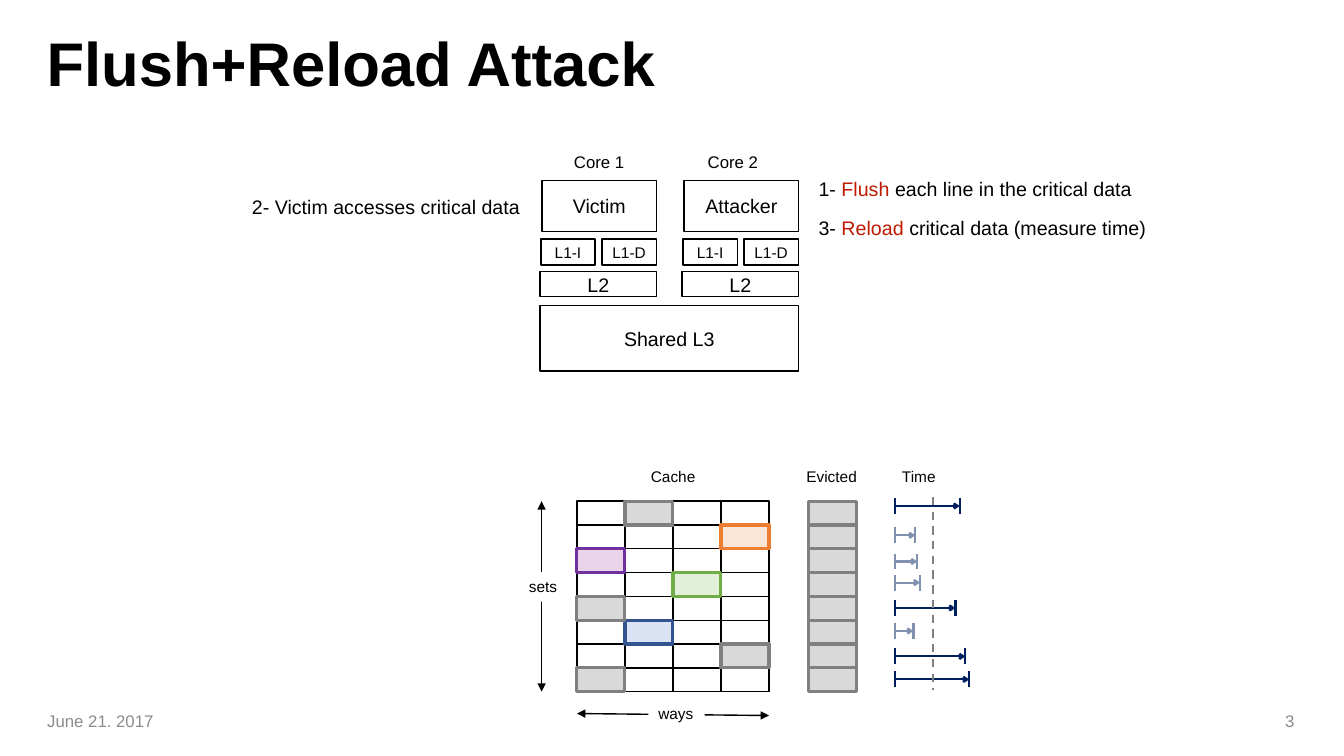
from lxml.etree import SubElement
from pptx import Presentation
from pptx.dml.color import RGBColor
from pptx.enum.dml import MSO_LINE_DASH_STYLE as Dash
from pptx.enum.shapes import MSO_CONNECTOR as Connector, MSO_SHAPE as Shape
from pptx.enum.text import MSO_ANCHOR as Anchor, MSO_AUTO_SIZE as AutoSize, PP_ALIGN as Align
from pptx.oxml.ns import qn
from pptx.util import Cm, Pt

BLACK = RGBColor(0x00, 0x00, 0x00)
WHITE = RGBColor(0xFF, 0xFF, 0xFF)
RED = RGBColor(0xBF, 0x19, 0x01)
GREY = RGBColor(0x80, 0x80, 0x80)
FOOTER_GREY = RGBColor(0x8C, 0x8C, 0x8C)
LIGHT_GREY = RGBColor(0xD9, 0xD9, 0xD9)
NAVY = RGBColor(0x00, 0x20, 0x60)
PALE_NAVY = RGBColor(0x80, 0x90, 0xAF)
PURPLE, LIGHT_PURPLE = RGBColor(0x70, 0x30, 0xA0), RGBColor(0xE9, 0xD4, 0xEA)
GREEN, LIGHT_GREEN = RGBColor(0x70, 0xAD, 0x47), RGBColor(0xE2, 0xF0, 0xD9)
BLUE, LIGHT_BLUE = RGBColor(0x32, 0x54, 0x91), RGBColor(0xDA, 0xE3, 0xF3)
ORANGE, LIGHT_ORANGE = RGBColor(0xED, 0x7D, 0x31), RGBColor(0xFB, 0xE5, 0xD6)

ROWS, COLUMNS = 8, 4
CELL_WIDTH, CELL_HEIGHT = 1.21, 0.6
HIGHLIGHTS = {
    (2, 0): (LIGHT_PURPLE, PURPLE), (3, 2): (LIGHT_GREEN, GREEN),
    (5, 1): (LIGHT_BLUE, BLUE), (1, 3): (LIGHT_ORANGE, ORANGE),
    (0, 1): (LIGHT_GREY, GREY), (4, 0): (LIGHT_GREY, GREY),
    (6, 3): (LIGHT_GREY, GREY), (7, 0): (LIGHT_GREY, GREY),
}
THRESHOLD = 0.95
TIMINGS = [(0.13, 1.63), (0.87, 0.51), (1.53, 0.56), (2.06, 0.63),
           (2.7, 1.52), (3.28, 0.46), (3.92, 1.77), (4.5, 1.87)]


def style_text(para, size, color=BLACK, align=Align.LEFT):
    """Set the font and alignment of a whole paragraph."""
    para.alignment = align
    para.font.name = "Arial"
    para.font.size = Pt(size)
    para.font.color.rgb = color


def add_box(page, left, top, width, height, text="", size=14,
            fill=None, outline=BLACK, weight=1):
    """Add an outlined rectangle with optional centred text."""
    box = page.shapes.add_shape(Shape.RECTANGLE, Cm(left), Cm(top), Cm(width), Cm(height))
    box.shadow.inherit = False
    if fill is None:
        box.fill.background()
    else:
        box.fill.solid()
        box.fill.fore_color.rgb = fill
    box.line.color.rgb = outline
    box.line.width = Pt(weight)
    if text:
        frame = box.text_frame
        frame.margin_left = frame.margin_right = 0
        frame.vertical_anchor = Anchor.MIDDLE
        frame.text = text
        style_text(frame.paragraphs[0], size, align=Align.CENTER)


def add_label(page, left, top, width, height, spans, size, color=BLACK,
              align=Align.LEFT, anchor=Anchor.TOP, wrap=False, fill=None):
    """Add a one-line text box made of (text, colour) spans."""
    label = page.shapes.add_textbox(Cm(left), Cm(top), Cm(width), Cm(height))
    if fill is not None:
        label.fill.solid()
        label.fill.fore_color.rgb = fill
    frame = label.text_frame
    frame.word_wrap = wrap
    frame.vertical_anchor = anchor
    para = frame.paragraphs[0]
    style_text(para, size, color, align)
    for text, span_color in spans:
        span = para.add_run()
        span.text = text
        if span_color is not None:
            span.font.color.rgb = span_color


def add_line(page, start, end, color=BLACK, weight=1.0, head=None, tail=None, dash=None):
    """Add a straight line with optional arrowheads and dashes."""
    line = page.shapes.add_connector(Connector.STRAIGHT, *map(Cm, (*start, *end)))
    line.line.color.rgb = color
    line.line.width = Pt(weight)
    if dash is not None:
        line.line.dash_style = dash
    outline = line.line._get_or_add_ln()
    for tag, kind in (("a:headEnd", head), ("a:tailEnd", tail)):
        if kind:
            arrow = SubElement(outline, qn(tag), type=kind)
            if kind == "arrow":
                arrow.set("w", "sm")
                arrow.set("len", "sm")
    SubElement(line._element.spPr, qn("a:effectLst"))


def add_title(page, text, left, top, width, height):
    """Fill and place the title placeholder."""
    title = page.shapes.title
    title.left, title.top, title.width, title.height = map(Cm, (left, top, width, height))
    frame = title.text_frame
    frame.text = text
    frame.auto_size = AutoSize.NONE
    frame.vertical_anchor = Anchor.MIDDLE
    para = frame.paragraphs[0]
    style_text(para, 44)
    para.font.bold = True
    para.line_spacing = 0.9


def add_core(page, left, top, process, name, name_shift):
    """Draw one core: its name, its process and its private caches."""
    add_label(page, left + name_shift, top - 0.84, 1.78, 0.76, [(name, None)], 12,
              align=Align.CENTER)
    add_box(page, left + 0.05, top, 2.89, 1.29, process, fill=WHITE)
    for shift, cache in ((0.02, "L1-I"), (1.56, "L1-D")):
        add_box(page, left + shift, top + 1.47, 1.37, 0.66, cache, 11, fill=WHITE)
    add_box(page, left, top + 2.3, 2.94, 0.63, "L2", fill=WHITE)


def add_processor(page, left, top):
    """Draw both cores above the shared cache."""
    add_core(page, left, top, "Victim", "Core 1", 0.6)
    add_core(page, left + 3.58, top, "Attacker", "Core 2", 0.39)
    add_box(page, left, top + 3.15, 6.52, 1.65, "Shared L3", fill=WHITE)


def add_steps(page, left, top):
    """Write the attack steps on both sides of the processor."""
    steps = [
        (14.28, 0, 8.89, [("1-", None), (" Flush ", RED), ("each line in the critical data", None)]),
        (0, 0.46, 7.42, [("2- Victim accesses critical data", None)]),
        (14.28, 0.98, 9.65, [("3-", None), (" Reload ", RED), ("critical data (measure time)", None)]),
    ]
    for shift, drop, width, spans in steps:
        add_label(page, left + shift, top + drop, width, 0.94, spans, 14,
                  anchor=Anchor.MIDDLE, wrap=True)


def add_cache(page, left, top):
    """Draw the cache grid, its highlighted lines and its dimensions."""
    right, bottom = left + COLUMNS * CELL_WIDTH, top + ROWS * CELL_HEIGHT
    add_label(page, left + 1.6, top - 0.99, 1.65, 0.74, [("Cache", None)], 11,
              align=Align.CENTER)
    plain = {(row, column): (None, BLACK) for row in range(ROWS) for column in range(COLUMNS)
             if (row, column) not in HIGHLIGHTS}
    for (row, column), (fill, outline) in (plain | HIGHLIGHTS).items():
        add_box(page, left + column * CELL_WIDTH, top + row * CELL_HEIGHT,
                CELL_WIDTH, CELL_HEIGHT, fill=fill, outline=outline,
                weight=2.25 if fill else 1)
    add_line(page, (left - 0.89, top), (left - 0.89, bottom), head="triangle", tail="triangle")
    add_line(page, (left, bottom + 0.55), (right, bottom + 0.6),
             head="triangle", tail="triangle")
    add_label(page, left - 1.46, top + 1.79, 1.24, 0.74, [("sets", None)], 11, fill=WHITE)
    add_label(page, left + 1.8, bottom + 0.2, 1.42, 0.74, [("ways", None)], 11, fill=WHITE)


def add_evicted(page, left, top):
    """Draw the column of evicted lines."""
    add_label(page, left - 0.3, top - 0.99, 1.8, 0.74, [("Evicted", None)], 11)
    for row in range(ROWS):
        add_box(page, left, top + row * CELL_HEIGHT, CELL_WIDTH, CELL_HEIGHT,
                fill=LIGHT_GREY, outline=GREY, weight=2.25)


def add_times(page, left, top):
    """Draw the reload times, dark where they pass the threshold."""
    add_label(page, left - 0.08, top - 0.98, 1.37, 0.74, [("Time", None)], 11)
    for drop, length in TIMINGS:
        color = NAVY if length > THRESHOLD else PALE_NAVY
        y = top + drop
        add_line(page, (left, y), (left + length, y), color, 1.5, tail="arrow")
        for x in (left, left + length):
            add_line(page, (x, y + 0.2), (x, y - 0.2), color, 1.5)
    add_line(page, (left + THRESHOLD, top - 0.1), (left + THRESHOLD, top + 4.78),
             GREY, 1.5, dash=Dash.DASH)


def add_footer(page, left, top, width):
    """Write the date and the page number at the two ends of the footer."""
    for x, text, align in ((left, "June 21. 2017", Align.LEFT),
                           (left + width - 7.62, "3", Align.RIGHT)):
        add_label(page, x, top, 7.62, 1.02, [(text, None)], 12, FOOTER_GREY, align,
                  Anchor.MIDDLE, wrap=True)


def main():
    """Build the slide and save the deck."""
    deck = Presentation()
    deck.slide_width, deck.slide_height = Cm(33.87), Cm(19.05)
    page = deck.slides.add_slide(deck.slide_layouts[5])
    add_title(page, "Flush+Reload Attack", 0.92, 0.67, 31.95, 2.01)
    add_processor(page, 13.61, 4.55)
    add_steps(page, 6.1, 4.29)
    add_cache(page, 14.54, 12.63)
    add_evicted(page, 20.37, 12.63)
    add_times(page, 22.56, 12.62)
    add_footer(page, 0.94, 17.65, 31.93)
    deck.save("out.pptx")


if __name__ == "__main__":
    main()
